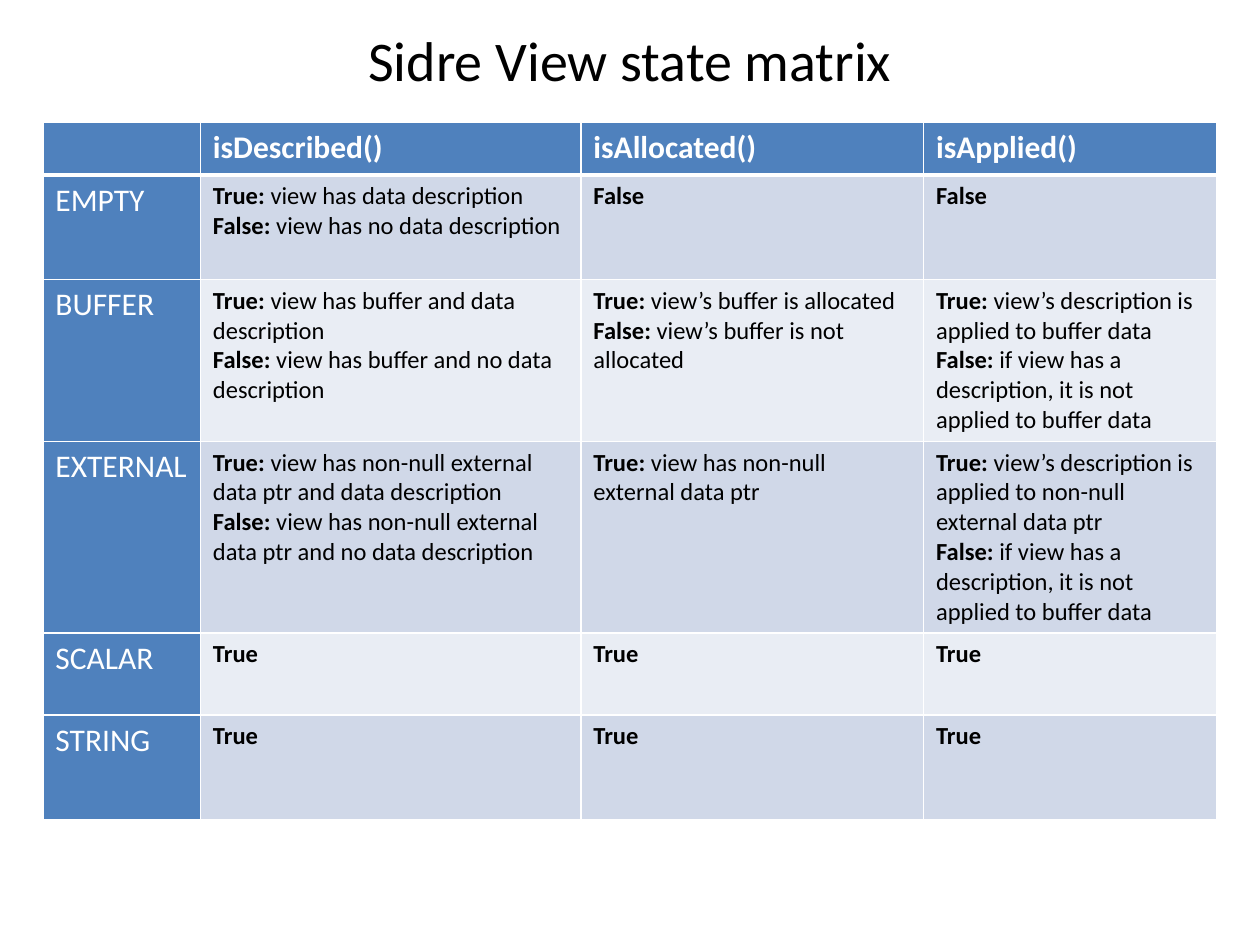
from lxml.etree import SubElement
from pptx import Presentation
from pptx.dml.color import RGBColor
from pptx.enum.text import MSO_ANCHOR, PP_ALIGN
from pptx.oxml.ns import qn
from pptx.util import Inches, Pt

BLUE, WHITE, BLACK = "4F81BD", "FFFFFF", "000000"
BANDS = ("D0D8E8", "E9EDF4")


def rgb(code):
    return RGBColor.from_string(code)


class Deck:
    font = "Calibri"

    def __init__(self):
        self.prs = Presentation()
        self.prs.slide_width, self.prs.slide_height = Inches(10), Inches(7.5)
        self.slide = self.prs.slides.add_slide(self.prs.slide_layouts[5])

    def style(self, run, size, color, bold=False):
        font = run.font
        font.name, font.size, font.bold = self.font, Pt(size), bold
        font.color.rgb = rgb(color)

    def title(self, text, box):
        shape = self.slide.shapes.title
        shape.left, shape.top, shape.width, shape.height = map(Inches, box)
        frame = shape.text_frame
        frame.text = text
        frame.vertical_anchor = MSO_ANCHOR.MIDDLE
        para = frame.paragraphs[0]
        para.alignment = PP_ALIGN.CENTER
        self.style(para.runs[0], 32, BLACK)

    def borders(self, cell, top, bottom):
        props = cell._tc.get_or_add_tcPr()
        for i, (side, width) in enumerate(
                (("L", 1), ("R", 1), ("T", top), ("B", bottom))):
            line = SubElement(props, qn("a:ln" + side), w=str(Pt(width)))
            fill = SubElement(line, qn("a:solidFill"))
            SubElement(fill, qn("a:srgbClr"), val=WHITE)
            props.insert(i, line)

    def cell(self, cell, text, fill, size, color, bold):
        cell.fill.solid()
        cell.fill.fore_color.rgb = rgb(fill)
        cell.text_frame.text = text
        for para in cell.text_frame.paragraphs:
            # The verdict up to the colon is bold, its explanation is not
            head, colon, rest = para.text.partition(": ")
            if colon:
                para.runs[0].text = head + colon
                para.add_run().text = rest
            for i, run in enumerate(para.runs):
                self.style(run, size, color, bold and i == 0)

    def table(self, rows, left, top, widths, heights):
        grid = self.slide.shapes.add_table(
            len(rows), len(widths), Inches(left), Inches(top),
            Inches(sum(widths)), Inches(sum(heights))).table
        for col, width in zip(grid.columns, widths):
            col.width = Inches(width)
        for r, (row, height) in enumerate(zip(rows, heights)):
            grid.rows[r].height = Inches(height)
            for c, text in enumerate(row):
                cell = grid.cell(r, c)
                if r == 0 or c == 0:
                    self.cell(cell, text, BLUE, 18, WHITE, r == 0)
                else:
                    self.cell(cell, text, BANDS[(r - 1) % 2], 14, BLACK, True)
                self.borders(cell, 3 if r == 1 else 1, 3 if r == 0 else 1)


deck = Deck()

# Title
deck.title("Sidre View state matrix", (0.5, 0.18, 9, 0.58))

# State matrix
UNUSED = "False: if view has a description, it is not applied to buffer data"
rows = [
    ("", "isDescribed()", "isAllocated()", "isApplied()"),
    ("EMPTY",
     "True: view has data description\nFalse: view has no data description",
     "False", "False"),
    ("BUFFER",
     "True: view has buffer and data description\n"
     "False: view has buffer and no data description",
     "True: view’s buffer is allocated\n"
     "False: view’s buffer is not allocated",
     "True: view’s description is applied to buffer data\n" + UNUSED),
    ("EXTERNAL",
     "True: view has non-null external data ptr and data description\n"
     "False: view has non-null external data ptr and no data description",
     "True: view has non-null external data ptr",
     "True: view’s description is applied to non-null external data ptr\n"
     + UNUSED),
    ("SCALAR",) + ("True",) * 3,
    ("STRING",) + ("True",) * 3,
]
deck.table(rows, 0.34, 0.97, (1.25, 3.02, 2.72, 2.33),
           (0.42, 0.83, 1.18, 1.4, 0.65, 0.83))

deck.prs.save("out.pptx")
